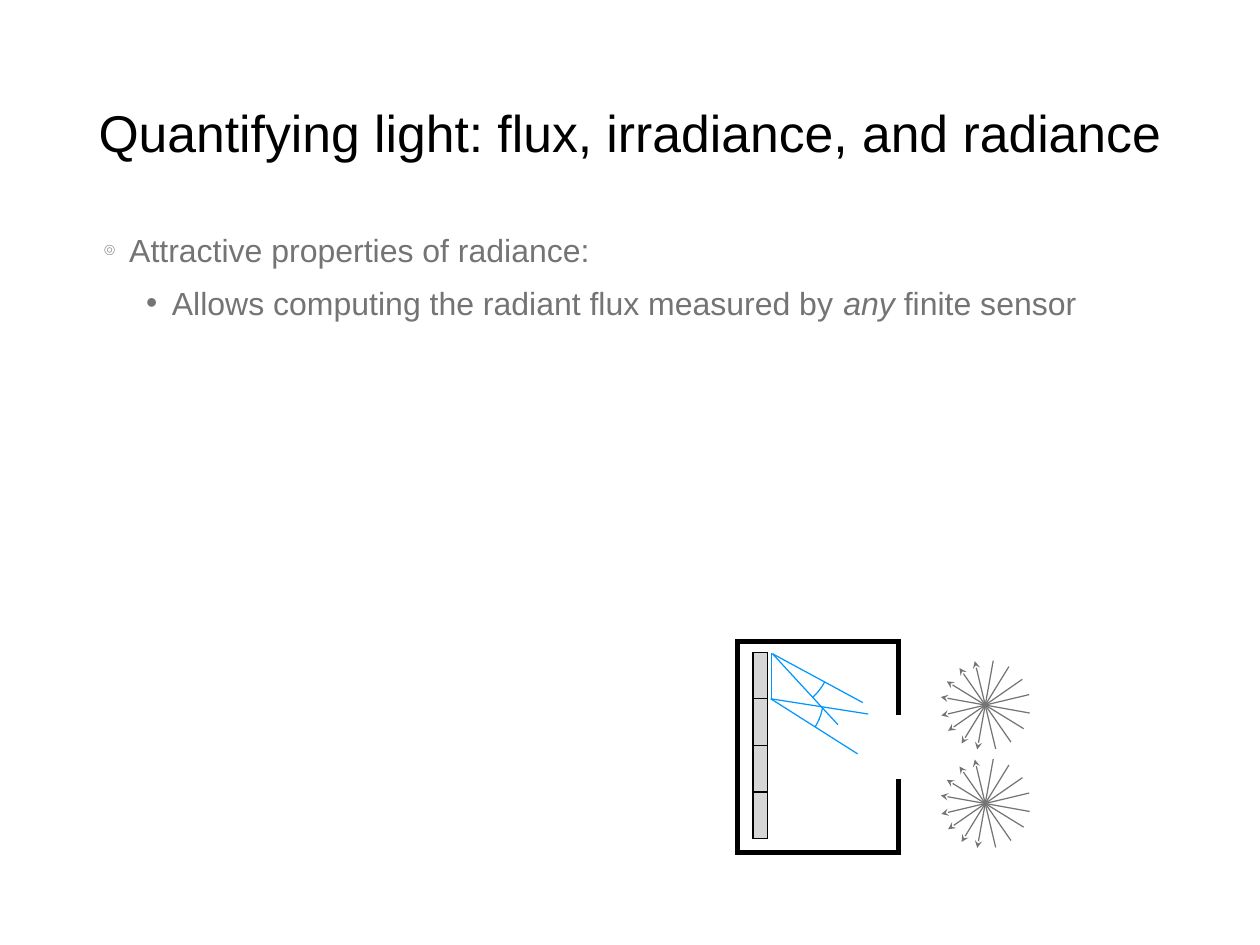
from collections import namedtuple
from math import atan2, cos, radians, sin

from lxml import etree
from pptx import Presentation
from pptx.dml.color import RGBColor
from pptx.enum.shapes import MSO_CONNECTOR, MSO_SHAPE
from pptx.enum.text import MSO_ANCHOR, MSO_AUTO_SIZE, PP_ALIGN
from pptx.oxml.ns import qn
from pptx.util import Pt

STRAIGHT = MSO_CONNECTOR.STRAIGHT
RECTANGLE = MSO_SHAPE.RECTANGLE
TOP, BOTTOM = MSO_ANCHOR.TOP, MSO_ANCHOR.BOTTOM
NO_AUTOFIT = MSO_AUTO_SIZE.NONE
CENTER, LEFT = PP_ALIGN.CENTER, PP_ALIGN.LEFT

FONT = "Arial"
BLACK, GRAY, SILVER, BLUE = "000000", "747474", "D6D6D6", "0096FF"
ARC_STEPS = 16

Box = namedtuple("Box", "left top width height")


def color(value):
    return RGBColor.from_string(value)


def add_child(parent, tag, **attributes):
    return etree.SubElement(parent, qn(tag), attributes)


def set_line(shape, line_color, width):
    shape.line.color.rgb = color(line_color)
    shape.line.width = Pt(width)
    add_child(shape.line._ln, "a:miter", lim="400000")


def add_segment(page, start, end, line_color):
    segment = page.shapes.add_connector(STRAIGHT, *(Pt(value) for value in (*start, *end)))
    set_line(segment, line_color, 1)
    add_child(segment._element.spPr, "a:effectLst")
    return segment


def add_outline(page, points, line_color, width):
    corners = [(Pt(x), Pt(y)) for x, y in points]
    builder = page.shapes.build_freeform(*corners[0], scale=1.0)
    builder.add_line_segments(corners[1:], close=False)
    outline = builder.convert_to_shape()
    outline.shadow.inherit = False
    outline.fill.background()
    set_line(outline, line_color, width)


def place_text(holder, box, anchor):
    holder.left, holder.top, holder.width, holder.height = (Pt(value) for value in box)
    frame = holder.text_frame
    frame.word_wrap = True
    frame.auto_size = NO_AUTOFIT
    frame.vertical_anchor = anchor
    frame.margin_left = frame.margin_right = Pt(4)
    frame.margin_top = frame.margin_bottom = Pt(4)
    return frame


def add_span(para, text, size, text_color, italic=False):
    span = para.add_run()
    span.text = text
    span.font.name = FONT
    span.font.size = Pt(size)
    span.font.italic = italic
    span.font.color.rgb = color(text_color)


def set_bullet(para, mark, indent, percent):
    properties = para._p.get_or_add_pPr()
    properties.set("marL", str(Pt(indent)))
    properties.set("indent", str(Pt(-21)))
    add_child(properties, "a:buSzPct", val=str(percent * 1000))
    add_child(properties, "a:buFont", typeface=FONT)
    add_child(properties, "a:buChar", char=mark)


def fill_title(page, box):
    para = place_text(page.shapes.title, box, BOTTOM).paragraphs[0]
    para.alignment = CENTER
    add_span(para, "Quantifying light: flux, irradiance, and radiance", 42, BLACK)


def fill_body(page, box):
    frame = place_text(page.placeholders[1], box, TOP)
    heading = frame.paragraphs[0]
    detail = frame.add_paragraph()
    detail.level = 1
    set_bullet(heading, "๏", 56, 60)
    set_bullet(detail, "•", 90.7, 100)
    for para, space in ((heading, 0), (detail, 12)):
        para.alignment = LEFT
        para.space_before = Pt(space)
    add_span(heading, "Attractive properties of radiance:", 26, GRAY)
    add_span(detail, "Allows computing the radiant flux measured by ", 26, GRAY)
    add_span(detail, "any", 26, GRAY, italic=True)
    add_span(detail, " finite sensor", 26, GRAY)


def draw_cone(page, apex, ends, radius):
    x, y = apex
    first, last = (atan2(end[1] - y, end[0] - x) for end in ends)
    angles = [first + (last - first) * step / ARC_STEPS for step in range(ARC_STEPS + 1)]
    arc = [(x + radius * cos(angle), y + radius * sin(angle)) for angle in angles]
    add_outline(page, arc, BLUE, 1)
    for end in ends:
        add_segment(page, apex, end, BLUE)


def draw_camera(page, box):
    def inside(x, y):
        return box.left + x, box.top + y

    opening_top, opening_bottom = 60, 112
    corners = [(box.width, opening_top), (box.width, 0), (0, 0), (0, box.height),
               (box.width, box.height), (box.width, opening_bottom)]
    add_outline(page, [inside(*corner) for corner in corners], BLACK, 4)

    cell_height = 37.9
    for row in range(4):
        left, top = inside(13, 8.7 + row * cell_height)
        cell = page.shapes.add_shape(RECTANGLE, Pt(left), Pt(top), Pt(12), Pt(cell_height))
        cell.shadow.inherit = False
        cell.fill.solid()
        cell.fill.fore_color.rgb = color(SILVER)
        set_line(cell, BLACK, 1)

    add_segment(page, inside(28, 9.4), inside(28, 47.5), BLUE)
    cones = [((28.8, 10), ((102.2, 49.7), (82, 67.7)), 48.2),
             ((27.4, 46.6), ((106.6, 59), (98, 91.4)), 42.7)]
    for apex, ends, radius in cones:
        draw_cone(page, inside(*apex), [inside(*end) for end in ends], radius)


def draw_light(page, box):
    radius = box.width / 2
    x, y = box.left + radius, box.top + radius
    for first_angle in (-79.8, -58.4):
        for turn in range(4):
            angle = radians(first_angle + 45 * turn)
            across, down = radius * cos(angle), radius * sin(angle)
            ray = add_segment(page, (x - across, y - down), (x + across, y + down), GRAY)
            add_child(ray.line._ln, "a:headEnd", type="stealth", w="med", len="med")


def main():
    deck = Presentation()
    deck.slide_width, deck.slide_height = Pt(1024), Pt(768)
    page = deck.slides.add_slide(deck.slide_layouts[1])
    fill_title(page, Box(45, 26, 934, 110))
    fill_body(page, Box(45, 183, 934, 99))
    draw_camera(page, Box(599, 521.3, 131, 171.5))
    for top in (536.3, 616.3):
        draw_light(page, Box(764, top, 73.4, 73.4))
    deck.save("out.pptx")


if __name__ == "__main__":
    main()
